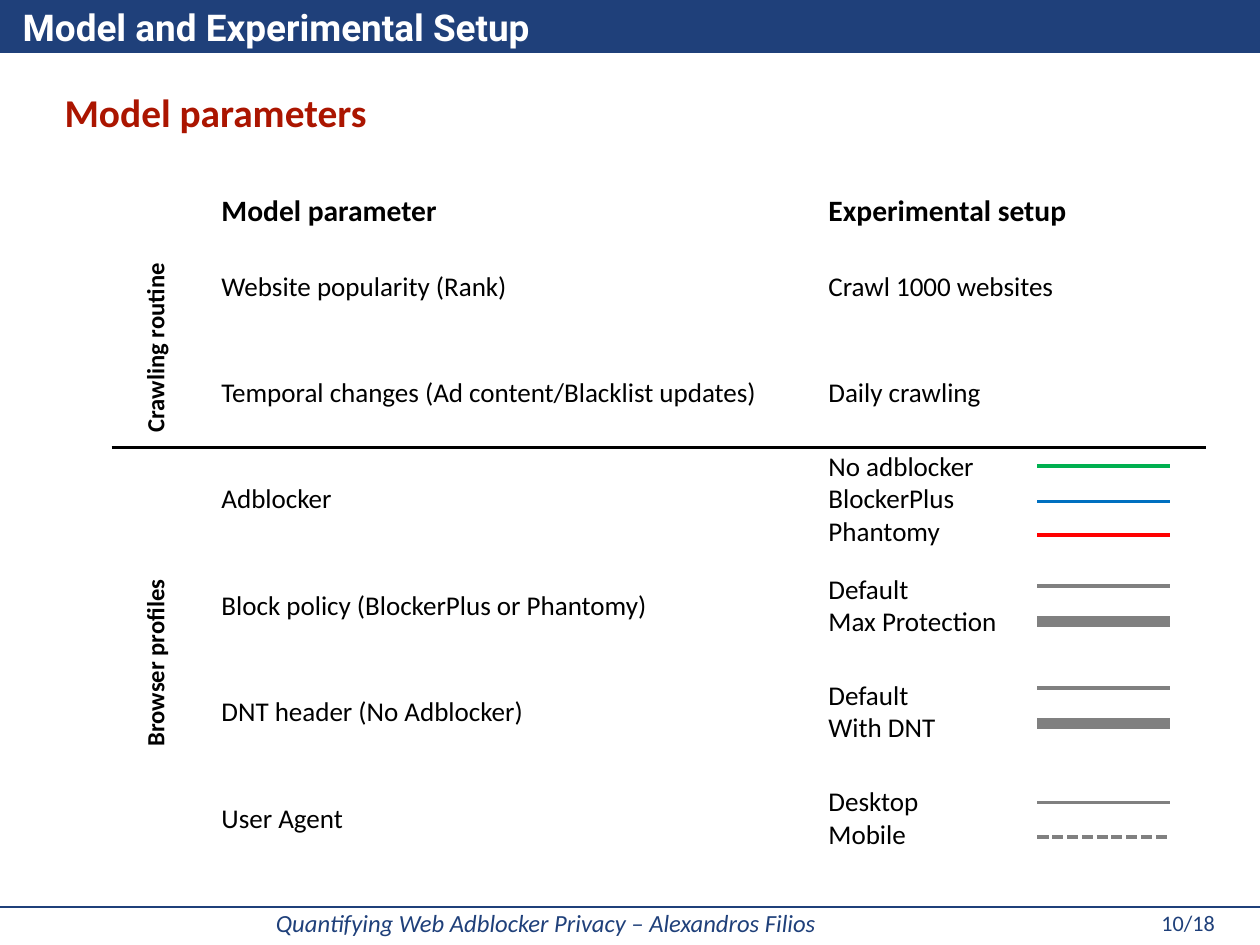
"""Build the slide listing model parameters against the experimental setup."""
import pptx
import pptx.dml.color
import pptx.enum.dml
import pptx.enum.shapes
import pptx.enum.text
import pptx.oxml.ns
import pptx.util
from lxml import etree

Cm, Pt = pptx.util.Cm, pptx.util.Pt
ALIGN = pptx.enum.text.PP_ALIGN
TOP, MIDDLE = pptx.enum.text.MSO_ANCHOR.TOP, pptx.enum.text.MSO_ANCHOR.MIDDLE
DASH = pptx.enum.dml.MSO_LINE.SQUARE_DOT

NAVY, CRIMSON, BLACK, WHITE = "1F407A", "AB1500", "000000", "FFFFFF"
GREEN, BLUE, RED, GRAY = "00B050", "0070C0", "FF0000", "808080"
THIN, THICK = 3, 8.5

TITLE = "Model and Experimental Setup"
HEADING = "Model parameters"
FOOTER = "Quantifying Web Adblocker Privacy – Alexandros Filios"
PAGE = "10/18"
HEADERS = ("Model parameter", "Experimental setup")
GROUPS = [("Crawling routine", 12.4), ("Browser profiles", 21.41)]
ROWS = [
    ("Website popularity (Rank)", ["Crawl 1000 websites"]),
    ("Temporal changes (Ad content/Blacklist updates)", ["Daily crawling"]),
    ("Adblocker", ["No adblocker", "BlockerPlus", "Phantomy"]),
    ("Block policy (BlockerPlus or Phantomy)", ["Default", "Max Protection"]),
    ("DNT header (No Adblocker)", ["Default", "With DNT"]),
    ("User Agent", ["Desktop", "Mobile"]),
]
KEYS = [
    (13.36, GREEN, THIN, None),
    (14.38, BLUE, THIN, None),
    (15.34, RED, THIN, None),
    (16.81, GRAY, THIN, None),
    (17.83, GRAY, THICK, None),
    (19.74, GRAY, THIN, None),
    (20.75, GRAY, THICK, None),
    (23.01, GRAY, THIN, None),
    (24.0, GRAY, THIN, DASH),
]

SLIDE_W, SLIDE_H = 36.12, 27.1
BAR_H = 1.52
COLUMNS = ((6.35, 17.2), (23.75, 10))
HEADER_Y, ROW_Y, ROW_STEP, OPTION_STEP = 5.51, 7.72, 3.05, 0.93
LINE_H, GROUP_X, GROUP_W, GROUP_LEN = 1.14, 4.01, 0.86, 5.5
KEY_X1, KEY_X2 = 29.74, 33.53

prs = pptx.Presentation()
prs.slide_width, prs.slide_height = Cm(SLIDE_W), Cm(SLIDE_H)
s = prs.slides.add_slide(prs.slide_layouts[6])


def rgb(code):
    """Turn a hex string into a colour."""
    return pptx.dml.color.RGBColor.from_string(code)


def add_text(text, x, y, w, h, size, color=BLACK, font="Calibri", bold=False,
             italic=False, align=ALIGN.LEFT, anchor=TOP):
    """Add a one-line text box without insets."""
    sp = s.shapes.add_textbox(Cm(x), Cm(y), Cm(w), Cm(h))
    tf = sp.text_frame
    tf.margin_left = tf.margin_right = tf.margin_top = tf.margin_bottom = 0
    tf.word_wrap = True
    tf.vertical_anchor = anchor
    p = tf.paragraphs[0]
    p.text = text
    p.alignment = align
    f = p.runs[0].font
    f.name, f.size, f.bold, f.italic = font, Pt(size), bold, italic
    f.color.rgb = rgb(color)
    return sp


def add_line(x1, x2, y, color, width, dash=None):
    """Add a horizontal line without a shadow."""
    ln = s.shapes.add_connector(pptx.enum.shapes.MSO_CONNECTOR.STRAIGHT,
                                Cm(x1), Cm(y), Cm(x2), Cm(y))
    ln.line.color.rgb = rgb(color)
    ln.line.width = Pt(width)
    if dash:
        ln.line.dash_style = dash
    etree.SubElement(ln._element.spPr, pptx.oxml.ns.qn("a:effectLst"))


def add_frame():
    """Add the title bar, heading and footer."""
    bar = s.shapes.add_shape(pptx.enum.shapes.MSO_SHAPE.RECTANGLE,
                             0, 0, Cm(SLIDE_W), Cm(BAR_H))
    bar.shadow.inherit = False
    bar.fill.solid()
    bar.fill.fore_color.rgb = rgb(NAVY)
    bar.line.fill.background()
    add_text(TITLE, 0.65, 0, 30, BAR_H, 30, WHITE, "Roboto", bold=True, anchor=MIDDLE)
    add_text(HEADING, 1.85, 2.39, 31.5, 1.65, 32, CRIMSON, bold=True, anchor=MIDDLE)
    add_line(0, SLIDE_W, 26.01, NAVY, 1)
    add_text(FOOTER, 0.5, 25.83, 30.3, 1.27, 20, NAVY, italic=True,
             align=ALIGN.CENTER, anchor=MIDDLE)
    add_text(PAGE, 33.06, 26.08, 2, 0.9, 18, NAVY, align=ALIGN.CENTER)


def add_parameters():
    """Add the two columns, the row groups and the line keys."""
    for header, (x, w) in zip(HEADERS, COLUMNS):
        add_text(header, x, HEADER_Y, w, LINE_H, 24, bold=True)
    (name_x, name_w), (option_x, option_w) = COLUMNS
    for i, (name, options) in enumerate(ROWS):
        y = ROW_Y + i * ROW_STEP
        add_text(name, name_x, y, name_w, LINE_H, 22)
        first = y - (len(options) - 1) * OPTION_STEP / 2
        for j, option in enumerate(options):
            add_text(option, option_x, first + j * OPTION_STEP, option_w, LINE_H, 22)
    for group, bottom in GROUPS:
        sp = add_text(group, GROUP_X, bottom - GROUP_LEN, GROUP_W, GROUP_LEN, 20, bold=True)
        sp.text_frame._txBody.bodyPr.set("vert", "vert270")
    for y, color, width, dash in KEYS:
        add_line(KEY_X1, KEY_X2, y, color, width, dash)
    add_line(3.2, 34.57, 12.83, BLACK, 2)


if __name__ == "__main__":
    add_frame()
    add_parameters()
    prs.save("out.pptx")
